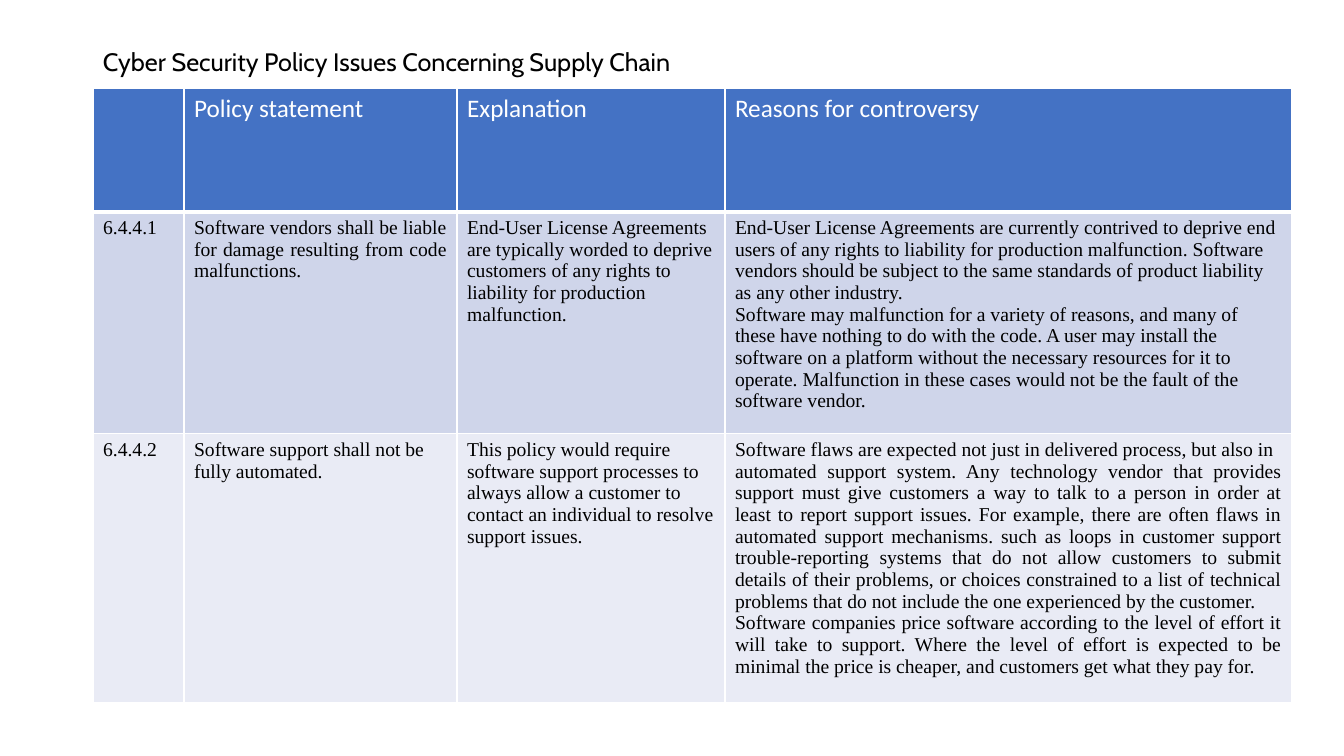
"""Build a slide with a table of supply chain cyber security policy issues."""
from lxml import etree
from pptx import Presentation
from pptx.dml.color import RGBColor
from pptx.enum.text import MSO_ANCHOR, PP_ALIGN
from pptx.oxml.ns import qn
from pptx.util import Pt

LEFT, JUSTIFY = PP_ALIGN.LEFT, PP_ALIGN.JUSTIFY
MIDDLE = MSO_ANCHOR.MIDDLE
EMU_PER_PX = 914400 / 100.8

TITLE = "Cyber Security Policy Issues Concerning Supply Chain"
TITLE_BOX = (93, 40, 1159, 47)
TABLE_LEFT, TABLE_TOP = 93, 88
COLUMN_WIDTHS = [91, 273, 268, 567]
ROW_HEIGHTS = [124, 205, 248]
ROW_FILLS = ["4472C4", "CFD5EA", "E9EBF5"]
BORDER = "FFFFFF"
HEADER_STYLE = ("Calibri", 18, "FFFFFF")
BODY_STYLE = ("Times New Roman", 14, "000000")
TITLE_STYLE = ("Cabin", 18, "000000")

ROWS = [
    [
        (LEFT, []),
        (LEFT, ["Policy statement"]),
        (LEFT, ["Explanation"]),
        (LEFT, ["Reasons for controversy"]),
    ],
    [
        (LEFT, ["6.4.4.1"]),
        (JUSTIFY, ["Software vendors shall be liable for damage resulting from code malfunctions."]),
        (LEFT, ["End-User License Agreements are typically worded to deprive customers of any "
                "rights to liability for production malfunction."]),
        (LEFT, ["End-User License Agreements are currently contrived to deprive end users of any "
                "rights to liability for production malfunction. Software vendors should be "
                "subject to the same standards of product liability as any other industry.",
                "Software may malfunction for a variety of reasons, and many of these have "
                "nothing to do with the code. A user may install the software on a platform "
                "without the necessary resources for it to operate. Malfunction in these cases "
                "would not be the fault of the software vendor."]),
    ],
    [
        (LEFT, ["6.4.4.2"]),
        (LEFT, ["Software support shall not be fully automated."]),
        (LEFT, ["This policy would require software support processes to always allow a customer "
                "to contact an individual to resolve support issues."]),
        (JUSTIFY, ["Software flaws are expected not just in delivered process, but also in",
                   "automated support system. Any technology vendor that provides support must "
                   "give customers a way to talk to a person in order at least to report support "
                   "issues. For example, there are often flaws in automated support mechanisms. "
                   "such as loops in customer support trouble-reporting systems that do not allow "
                   "customers to submit details of their problems, or choices constrained to a "
                   "list of technical problems that do not include the one experienced by the "
                   "customer.",
                   "Software companies price software according to the level of effort it will "
                   "take to support. Where the level of effort is expected to be minimal the "
                   "price is cheaper, and customers get what they pay for."]),
    ],
]


def px(length):
    return round(length * EMU_PER_PX)


def color(value):
    return RGBColor.from_string(value)


def write(frame, texts, style, align=LEFT, spacing=1.0):
    font, size, ink = style
    frame.word_wrap = True
    for index, text in enumerate(texts):
        para = frame.add_paragraph() if index else frame.paragraphs[0]
        para.alignment = align
        para.line_spacing = spacing
        span = para.add_run()
        span.text = text
        span.font.name = font
        span.font.size = Pt(size)
        span.font.color.rgb = color(ink)


def add_borders(cell, row_index):
    properties = cell._tc.get_or_add_tcPr()
    widths = {
        "a:lnL": 1,
        "a:lnR": 1,
        "a:lnT": 3 if row_index == 1 else 1,
        "a:lnB": 3 if row_index == 0 else 1,
    }
    for tag, width in widths.items():
        line = etree.SubElement(properties, qn(tag), w=str(Pt(width)))
        solid = etree.SubElement(line, qn("a:solidFill"))
        etree.SubElement(solid, qn("a:srgbClr"), val=BORDER)


def add_title(page):
    box = page.shapes.add_textbox(*map(px, TITLE_BOX))
    box.text_frame.vertical_anchor = MIDDLE
    write(box.text_frame, [TITLE], TITLE_STYLE, spacing=0.9)


def add_policy_table(page):
    frame = page.shapes.add_table(
        len(ROWS), len(COLUMN_WIDTHS), px(TABLE_LEFT), px(TABLE_TOP),
        px(sum(COLUMN_WIDTHS)), px(sum(ROW_HEIGHTS)))
    table = frame.table
    for column, width in zip(table.columns, COLUMN_WIDTHS):
        column.width = px(width)
    for row_index, entries in enumerate(ROWS):
        table.rows[row_index].height = px(ROW_HEIGHTS[row_index])
        style = BODY_STYLE if row_index else HEADER_STYLE
        for column_index, (align, texts) in enumerate(entries):
            cell = table.cell(row_index, column_index)
            add_borders(cell, row_index)
            cell.fill.solid()
            cell.fill.fore_color.rgb = color(ROW_FILLS[row_index])
            write(cell.text_frame, texts, style, align)


def main():
    deck = Presentation()
    deck.slide_width, deck.slide_height = px(1344), px(756)
    page = deck.slides.add_slide(deck.slide_layouts[6])
    add_title(page)
    add_policy_table(page)
    deck.save("out.pptx")


if __name__ == "__main__":
    main()
